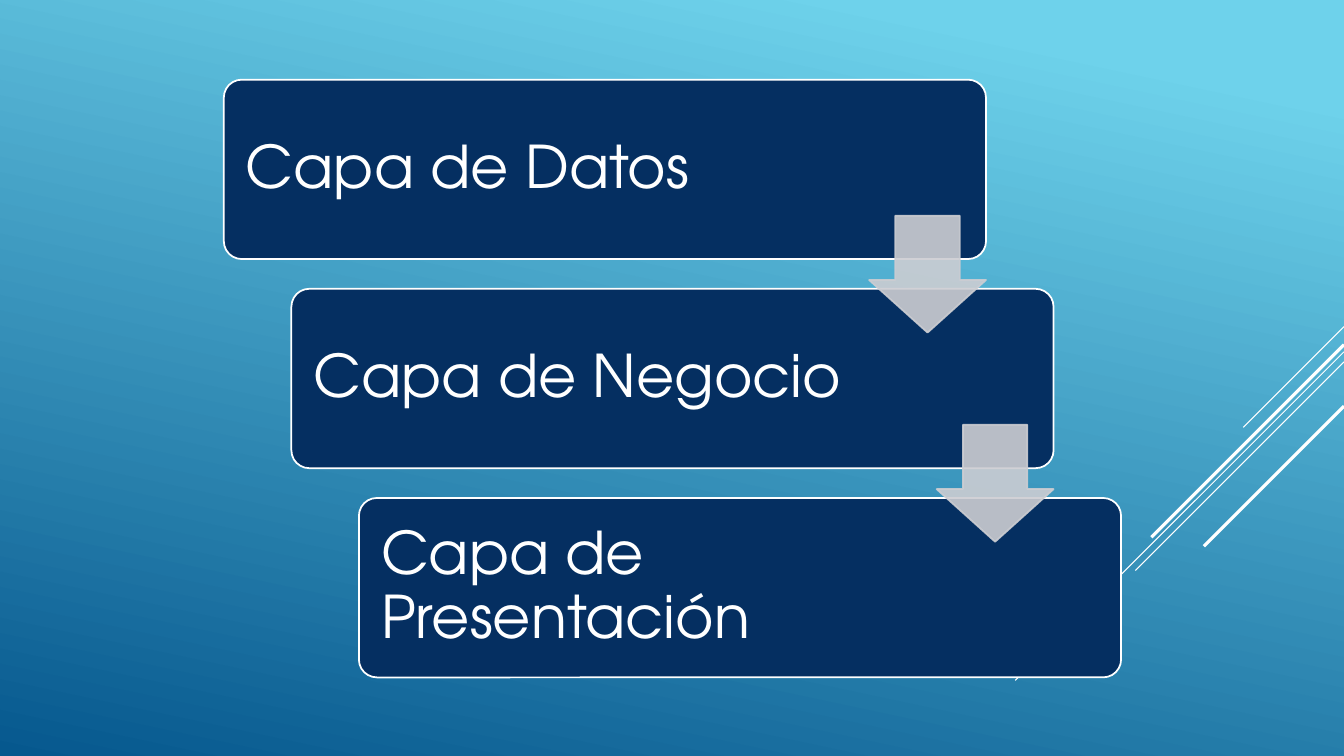
from lxml.etree import SubElement
from pptx import Presentation
from pptx.dml.color import RGBColor
from pptx.enum.shapes import MSO_CONNECTOR, MSO_SHAPE
from pptx.enum.text import MSO_ANCHOR, PP_ALIGN
from pptx.oxml.ns import qn
from pptx.util import Inches, Pt

COLORS = {"sky": "6ED2EB", "deep": "06588E", "navy": "052F61", "gray": "CCCDD2", "white": "FFFFFF"}
FONT = "TeX Gyre Adventor"
LAYERS = ["Capa de Datos", "Capa de Negocio", "Capa de Presentación"]
LAYER_LEFT, LAYER_TOP = 2.22, 0.79
LAYER_WIDTH, LAYER_HEIGHT = 7.56, 1.78
STEP_X, STEP_Y = 0.67, 2.075
TEXT_MARGIN, TEXT_WIDTH = 0.05, 5.64
ARROW_SIZE, ARROW_DROP = 1.16, 1.35
SLIDE_WIDTH = 13.33
STREAKS = [(3.24, 1, 0.75), (3.49, 3.26, 0.75), (3.59, 2.07, 0.75), (3.42, 1.91, 2.25), (4.03, 1.39, 2.25)]


def color(name):
    return RGBColor.from_string(COLORS[name])


def apply(target, values):
    for name, value in values.items():
        setattr(target, name, value)


def paint_background(page):
    fill = page.background.fill
    fill.gradient()
    fill.gradient_angle = 360 - 102
    for stop, name, position in zip(fill.gradient_stops, ("sky", "deep"), (0.1, 1)):
        stop.color.rgb = color(name)
        stop.position = position


def add_streak(page, top, reach, weight):
    streak = page.shapes.add_connector(
        MSO_CONNECTOR.STRAIGHT, Inches(SLIDE_WIDTH), Inches(top),
        Inches(SLIDE_WIDTH - reach), Inches(top + reach))
    streak.line.color.rgb = color("white")
    streak.line.width = Pt(weight)
    SubElement(streak._element.spPr, qn("a:effectLst"))


def add_block(page, kind, bounds, adjustments, fill, line):
    block = page.shapes.add_shape(kind, *map(Inches, bounds))
    for index, value in enumerate(adjustments):
        block.adjustments[index] = value
    block.shadow.inherit = False
    block.fill.solid()
    block.fill.fore_color.rgb = color(fill)
    block.line.color.rgb = color(line)
    block.line.width = Pt(1.25)
    return block


def add_label(page, text, bounds):
    frame = page.shapes.add_textbox(*map(Inches, bounds)).text_frame
    apply(frame, {"word_wrap": True, "vertical_anchor": MSO_ANCHOR.MIDDLE})
    for side in ("left", "top", "right", "bottom"):
        setattr(frame, f"margin_{side}", Inches(0.17))
    para = frame.paragraphs[0]
    apply(para, {"line_spacing": 0.9, "alignment": PP_ALIGN.LEFT})
    span = para.add_run()
    span.text = text
    apply(span.font, {"name": FONT, "size": Pt(42)})
    span.font.color.rgb = color("white")


def add_layer(page, text, left, top):
    add_block(page, MSO_SHAPE.ROUNDED_RECTANGLE,
              (left, top, LAYER_WIDTH, LAYER_HEIGHT), [0.1], "navy", "white")
    add_label(page, text, (left + TEXT_MARGIN, top + TEXT_MARGIN,
                           TEXT_WIDTH, LAYER_HEIGHT - 2 * TEXT_MARGIN))


def add_arrow(page, left, top):
    arrow = add_block(page, MSO_SHAPE.DOWN_ARROW,
                      (left, top, ARROW_SIZE, ARROW_SIZE), [0.55, 0.45], "gray", "gray")
    for tone in arrow._element.spPr.iter(qn("a:srgbClr")):
        SubElement(tone, qn("a:alpha"), val="90000")


def main():
    deck = Presentation()
    apply(deck, {"slide_width": Inches(SLIDE_WIDTH), "slide_height": Inches(7.5)})
    page = deck.slides.add_slide(deck.slide_layouts[6])
    paint_background(page)
    for streak in STREAKS:
        add_streak(page, *streak)
    corners = [(LAYER_LEFT + i * STEP_X, LAYER_TOP + i * STEP_Y) for i in range(len(LAYERS))]
    for text, (left, top) in zip(LAYERS, corners):
        add_layer(page, text, left, top)
    for left, top in corners[:-1]:
        add_arrow(page, left + LAYER_WIDTH - ARROW_SIZE, top + ARROW_DROP)
    deck.save("out.pptx")


if __name__ == "__main__":
    main()
